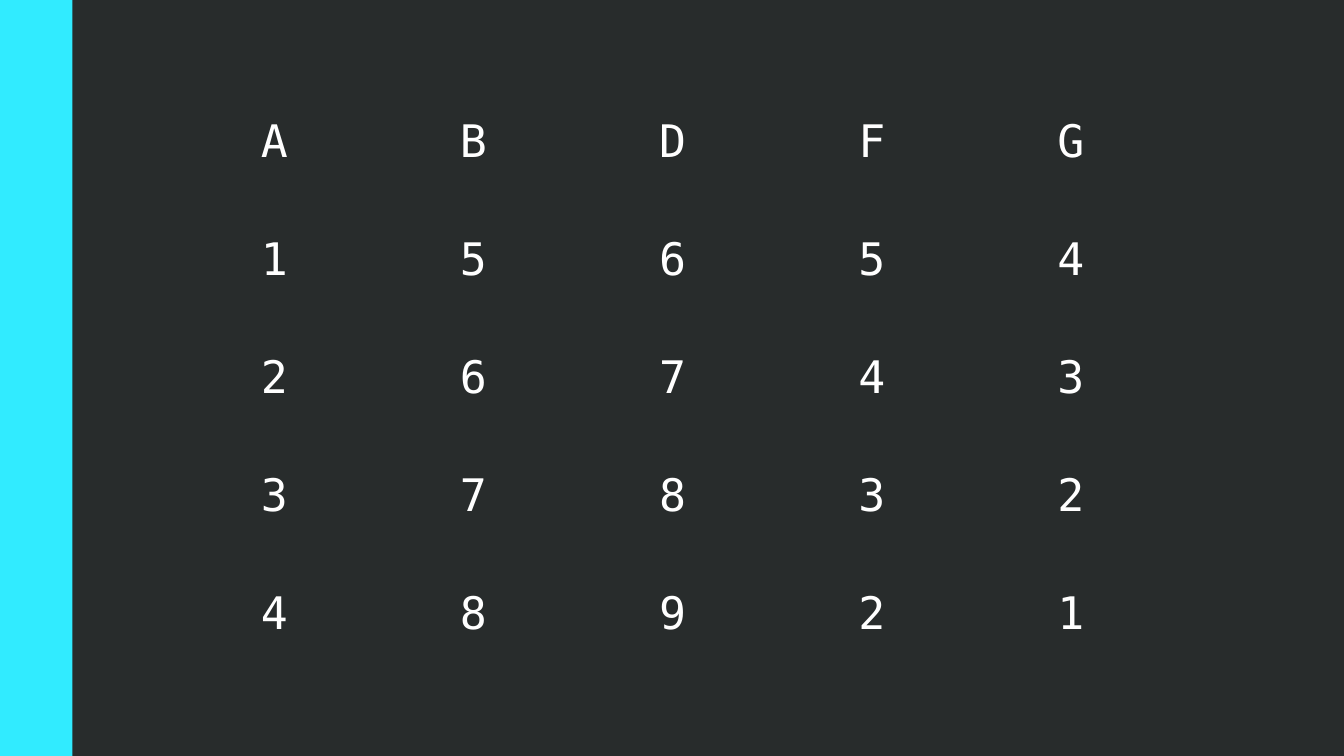
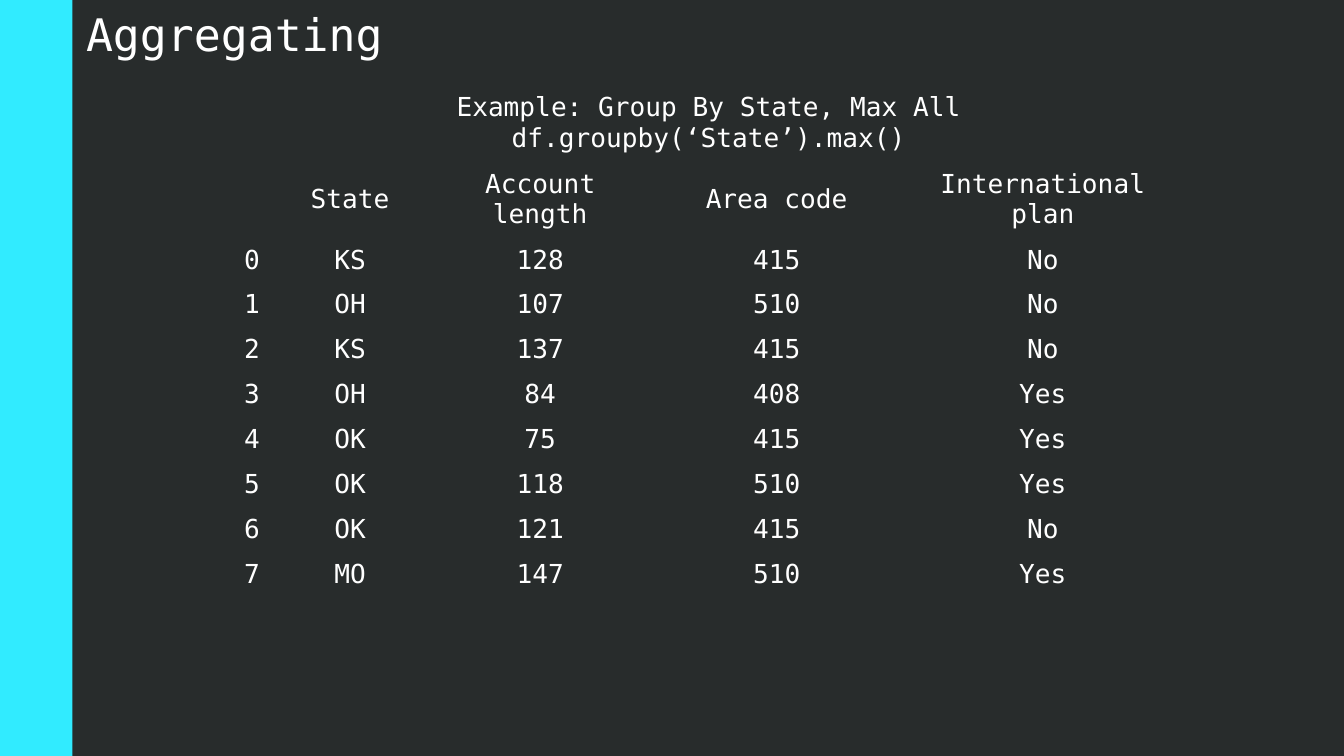
from dataclasses import dataclass

from pptx import Presentation
from pptx.dml.color import RGBColor
from pptx.enum.shapes import MSO_SHAPE
from pptx.enum.text import MSO_ANCHOR, MSO_AUTO_SIZE, PP_ALIGN
from pptx.oxml.ns import qn
from pptx.util import Inches, Pt

RECTANGLE = MSO_SHAPE.RECTANGLE
TOP, MIDDLE = MSO_ANCHOR.TOP, MSO_ANCHOR.MIDDLE
GROW = MSO_AUTO_SIZE.SHAPE_TO_FIT_TEXT
LEFT, CENTER = PP_ALIGN.LEFT, PP_ALIGN.CENTER

TITLE_ONLY, BLANK = 5, 6
WIDTH = 10
HEIGHT = WIDTH * 9 / 16
BAND_WIDTH = 0.54
BACKGROUND, ACCENT, TEXT = "282C2C", "31EBFF", "FFFFFF"
FONT = "DejaVu Sans Mono"
LARGE, SMALL = 24, 14
NO_STYLE_NO_GRID = "{2D5ABB26-0587-4C30-8999-92F81FD0307C}"


@dataclass
class Box:
    left: float
    top: float
    width: float
    height: float

    def lengths(self) -> list[Inches]:
        return [Inches(v) for v in (self.left, self.top, self.width, self.height)]


@dataclass
class Grid:
    box: Box
    columns: list[float]
    row_height: float
    size: int
    rows: list[list[str]]


LETTERS = [
    ["A", "B", "D", "F", "G"],
    ["1", "5", "6", "5", "4"],
    ["2", "6", "7", "4", "3"],
    ["3", "7", "8", "3", "2"],
    ["4", "8", "9", "2", "1"],
]
ACCOUNT_HEADER = ["", "State", "Account length", "Area code", "International plan"]
ACCOUNTS = [
    ["KS", "128", "415", "No"],
    ["OH", "107", "510", "No"],
    ["KS", "137", "415", "No"],
    ["OH", "84", "408", "Yes"],
    ["OK", "75", "415", "Yes"],
    ["OK", "118", "510", "Yes"],
    ["OK", "121", "415", "No"],
    ["MO", "147", "510", "Yes"],
]


def paint(fill, color: str) -> None:
    fill.solid()
    fill.fore_color.rgb = RGBColor.from_string(color)


def write(frame, text: str, size: int, align) -> None:
    frame.text = text
    for paragraph in frame.paragraphs:
        paragraph.alignment = align
        font = paragraph.font
        font.name, font.size = FONT, Pt(size)
        font.color.rgb = RGBColor.from_string(TEXT)


def write_growing(shape, text: str, size: int, align) -> None:
    """Write top-anchored text in a shape that grows with it."""
    frame = shape.text_frame
    frame.word_wrap = True
    frame.auto_size = GROW
    frame.vertical_anchor = TOP
    write(frame, text, size, align)


def add_slide(prs, layout: int):
    """Add a dark slide with the accent band on its left edge."""
    slide = prs.slides.add_slide(prs.slide_layouts[layout])
    paint(slide.background.fill, BACKGROUND)
    band = slide.shapes.add_shape(RECTANGLE, *Box(0, 0, BAND_WIDTH, HEIGHT).lengths())
    band.shadow.inherit = False
    paint(band.fill, ACCENT)
    band.line.fill.background()
    return slide


def add_grid(slide, grid: Grid) -> None:
    """Add a table without borders or fills, all cells centred."""
    holder = slide.shapes.add_table(
        len(grid.rows), len(grid.columns), *grid.box.lengths())
    for style in holder.element.iter(qn("a:tableStyleId")):
        style.text = NO_STYLE_NO_GRID
    table = holder.table
    table.first_row = table.horz_banding = False
    for column, width in zip(table.columns, grid.columns):
        column.width = Inches(width)
    for row, values in zip(table.rows, grid.rows):
        row.height = Inches(grid.row_height)
        for cell, value in zip(row.cells, values):
            cell.fill.background()
            cell.vertical_anchor = MIDDLE
            write(cell.text_frame, value, grid.size, CENTER)
    holder.height = Inches(grid.box.height)


def build_letters(prs) -> None:
    slide = add_slide(prs, BLANK)
    # An empty column separates each pair of letters.
    spaced = [[""] * (2 * len(row) - 1) for row in LETTERS]
    for target, row in zip(spaced, LETTERS):
        target[::2] = row
    box = Box(1.67, 0.62, 6.67, 4.39)
    columns = [box.width / len(spaced[0])] * len(spaced[0])
    add_grid(slide, Grid(box, columns, box.height / len(spaced), LARGE, spaced))


def build_aggregating(prs) -> None:
    slide = add_slide(prs, TITLE_ONLY)
    title = slide.shapes.title
    title.left, title.top, title.width, title.height = Box(
        BAND_WIDTH, 0, WIDTH - BAND_WIDTH, 0.5).lengths()
    write_growing(title, "Aggregating", LARGE, LEFT)

    rows = [ACCOUNT_HEADER]
    rows += [[str(index), *account] for index, account in enumerate(ACCOUNTS)]
    columns = [0.35, 1.11, 1.72, 1.8, 2.16]
    add_grid(slide, Grid(Box(1.7, 1.2, 7.14, 3), columns, 0.25, SMALL, rows))

    example = slide.shapes.add_textbox(*Box(2.48, 0.62, 5.59, 0.57).lengths())
    write_growing(
        example,
        "Example: Group By State, Max All\ndf.groupby(‘State’).max()",
        SMALL, CENTER)


def main() -> None:
    prs = Presentation()
    prs.slide_width, prs.slide_height = Inches(WIDTH), Inches(HEIGHT)
    build_letters(prs)
    build_aggregating(prs)
    prs.save("out.pptx")


if __name__ == "__main__":
    main()
